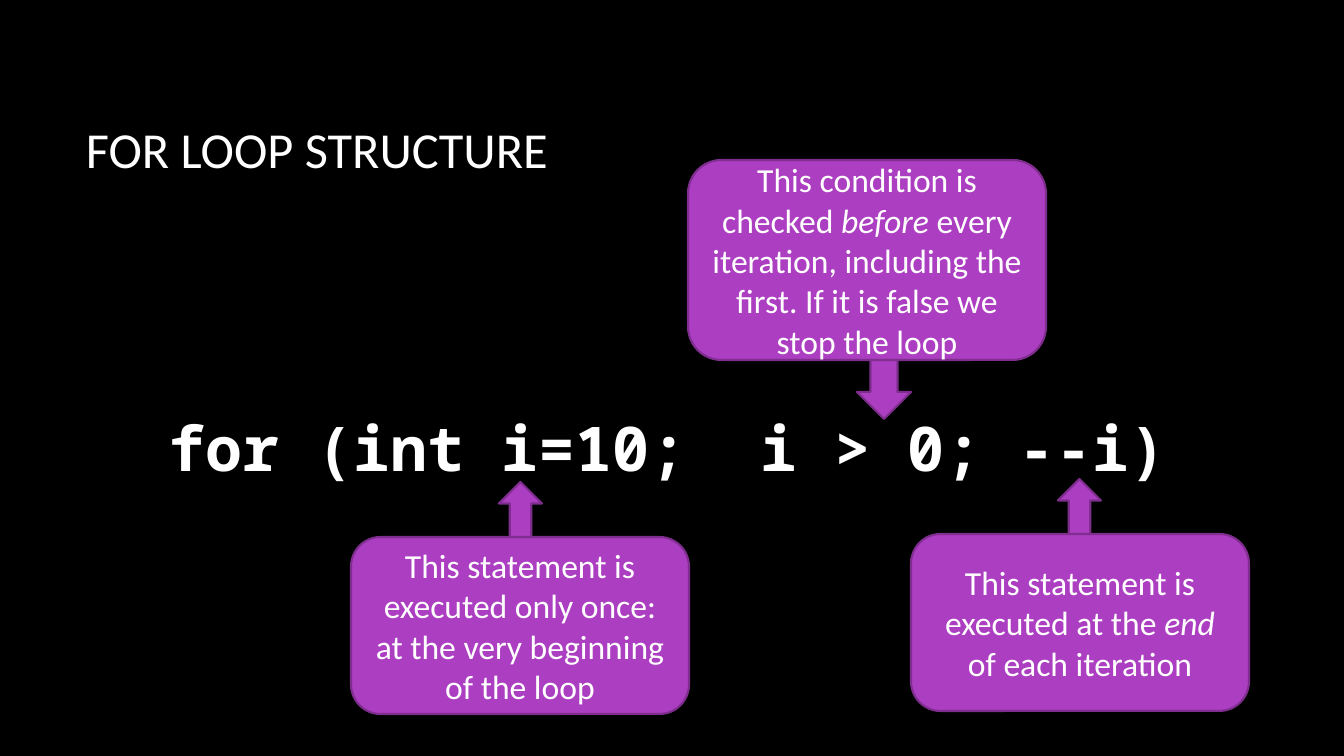
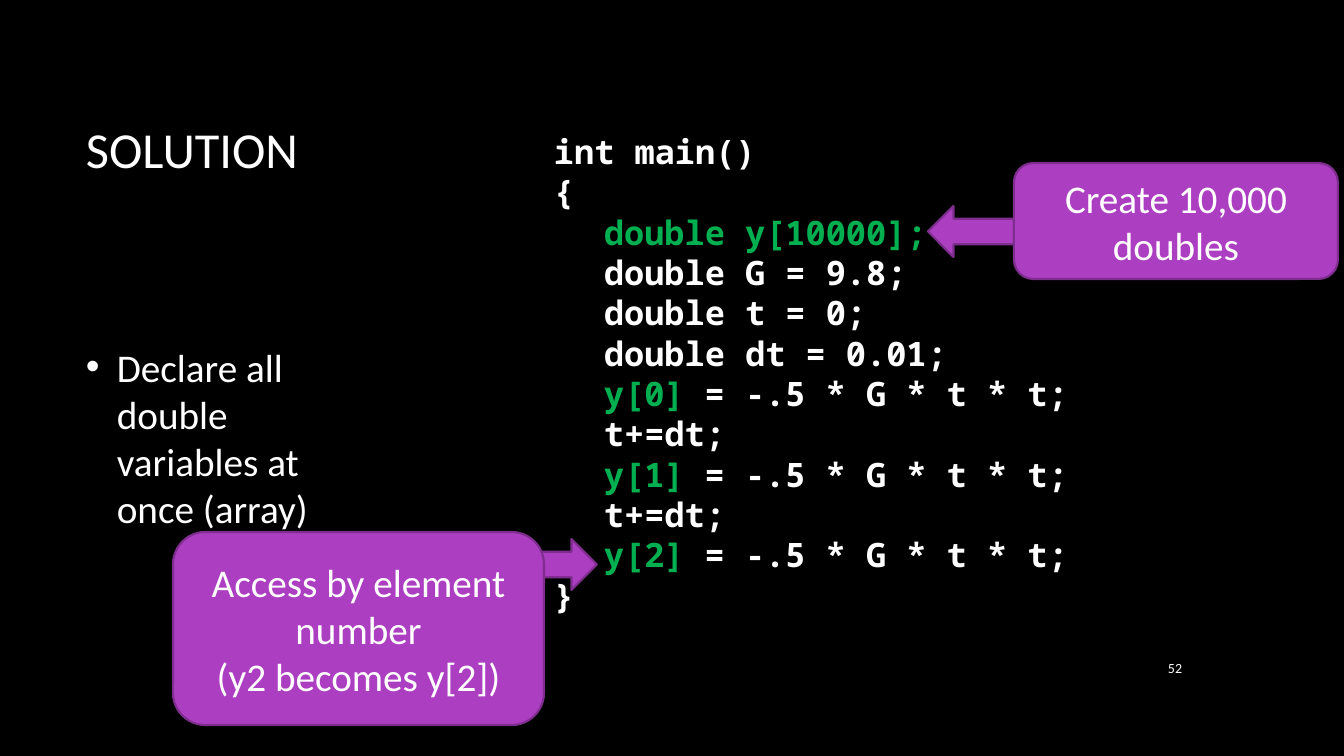
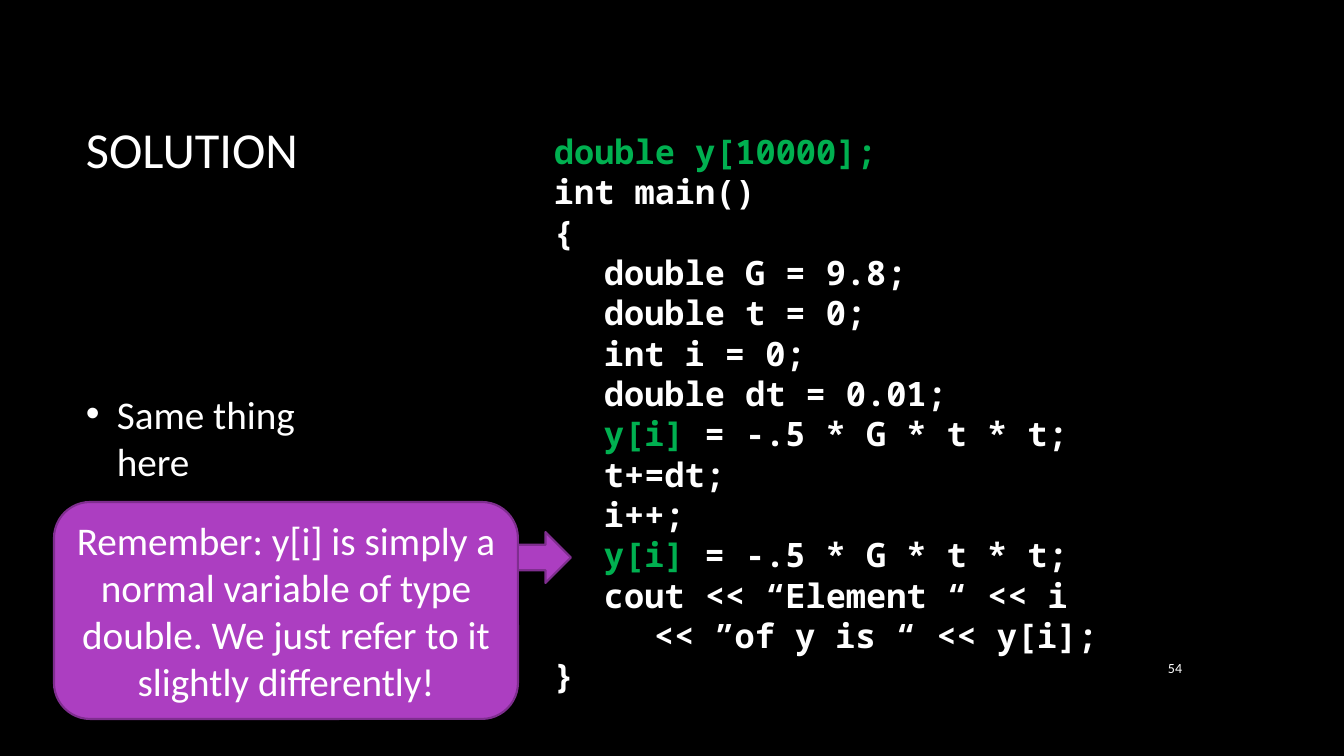
from pptx import Presentation
from pptx.dml.color import RGBColor
from pptx.enum.shapes import MSO_SHAPE as Preset
from pptx.enum.text import MSO_ANCHOR as Anchor, MSO_AUTO_SIZE as AutoSize, PP_ALIGN as Align
from pptx.util import Pt
from lxml import etree

BLACK = RGBColor(0x00, 0x00, 0x00)
WHITE = RGBColor(0xFF, 0xFF, 0xFF)
GREEN = RGBColor(0x00, 0xB0, 0x50)
PURPLE = RGBColor(0xAC, 0x3E, 0xC1)
DARK_PURPLE = RGBColor(0x7F, 0x2E, 0x8F)
BODY_FONT = "Calibri"
CODE_FONT = "Noto Sans Mono"

WIDTH, HEIGHT = 1344, 756
SCALE = 12192000 / WIDTH
TITLE_BOX = (76, 68, 1117, 160)
BODY_BOX = (76, 236, 297, 402)
NUMBER_BOX = (1132, 647, 60, 41)
TAB_STEP = 50
BULLET_INDENT = 31

# Text between ~ marks is emphasised: italic in callouts, green in code.
# Each tab that starts a line is one step of indent.
SLIDES = [
    {
        "title": "FOR LOOP STRUCTURE",
        "code": ["for (int i=10;  i > 0; --i)"],
        "code_box": (159, 405, 1058, 85),
        "code_size": 44,
        "code_wrap": True,
        "callout_size": 24,
        "callouts": [
            (["This statement is executed only once: at the very beginning of the loop"],
             (351, 537, 338, 177), Preset.UP_ARROW, (499, 482, 43, 132)),
            (["This condition is checked ~before~ every iteration, including the first. "
              "If it is false we stop the loop"],
             (688, 160, 358, 200), Preset.DOWN_ARROW, (857, 299, 54, 120)),
            (["This statement is executed at the ~end~ of each iteration"],
             (911, 534, 338, 177), Preset.UP_ARROW, (1058, 479, 43, 132)),
        ],
    },
    {
        "title": "SOLUTION",
        "body": "Declare all double variables at once (array)",
        "number": "52",
        "code": [
            "int main()",
            "{",
            "\t~double y[10000];~",
            "\tdouble G = 9.8;",
            "\tdouble t = 0;",
            "\tdouble dt = 0.01;",
            "\t~y[0] ~= -.5 * G * t * t;",
            "\tt+=dt;",
            "\t~y[1] ~= -.5 * G * t * t;",
            "\tt+=dt;",
            "\t~y[2] ~= -.5 * G * t * t;",
            "}",
        ],
        "code_box": (544, 126, 538, 499),
        "callouts": [
            (["Create 10,000 doubles"],
             (1014, 163, 324, 116), Preset.LEFT_ARROW, (928, 206, 86, 51)),
            (["Access by element number", "(y2 becomes y[2])"],
             (173, 532, 371, 193), Preset.RIGHT_ARROW, (511, 539, 86, 51)),
        ],
    },
    {
        "title": "SOLUTION",
        "body": "Same thing here",
        "number": "54",
        "code": [
            "~double y[10000];~",
            "int main()",
            "{",
            "\tdouble G = 9.8;",
            "\tdouble t = 0;",
            "\tint i = 0;",
            "\tdouble dt = 0.01;",
            "\t~y[i] ~= -.5 * G * t * t;",
            "\tt+=dt;",
            "\ti++;",
            "\t~y[i] ~= -.5 * G * t * t;",
            "\tcout << “Element “ << i",
            "\t\t<< ”of y is “ << y[i];",
            "}",
        ],
        "code_box": (544, 126, 570, 581),
        "callouts": [
            (["Remember: y[i] is simply a normal variable of type double. "
              "We just refer to it slightly differently!"],
             (54, 502, 464, 217), Preset.RIGHT_ARROW, (485, 532, 86, 51)),
        ],
    },
]


def emu(box):
    """Turn pixel lengths into EMU."""
    return [round(length * SCALE) for length in box]


def indent(paragraph, left, first=0):
    """Set the left margin and first-line indent, in pixels."""
    properties = paragraph._p.get_or_add_pPr()
    for name, length in zip(("marL", "indent"), emu((left, first))):
        properties.set(name, str(length))
    return properties


def add_bullet(paragraph):
    """Give the paragraph a round bullet, a hanging indent and space after."""
    paragraph.space_after = Pt(10)
    properties = indent(paragraph, BULLET_INDENT, -BULLET_INDENT)
    namespace = properties.nsmap["a"]
    font = etree.SubElement(properties, f"{{{namespace}}}buFont")
    font.set("typeface", "Arial")
    character = etree.SubElement(properties, f"{{{namespace}}}buChar")
    character.set("char", "•")


def write(shape, lines, size, font=BODY_FONT, bold=False, italic_marks=False,
          align=Align.LEFT, anchor=Anchor.MIDDLE, wrap=True, bullet=False):
    """Write the lines into a shape, emphasising what is between ~ marks."""
    frame = shape.text_frame
    frame.word_wrap = wrap
    frame.vertical_anchor = anchor
    for index, line in enumerate(lines):
        paragraph = frame.add_paragraph() if index else frame.paragraphs[0]
        paragraph.alignment = align
        text = line.lstrip("\t")
        if bullet:
            add_bullet(paragraph)
        elif text != line:
            indent(paragraph, TAB_STEP * (len(line) - len(text)))
        for position, piece in enumerate(text.split("~")):
            if not piece:
                continue
            marked = position % 2 == 1
            run = paragraph.add_run()
            run.text = piece
            run.font.name = font
            run.font.size = Pt(size)
            run.font.bold = bold
            run.font.italic = marked and italic_marks
            run.font.color.rgb = GREEN if marked and not italic_marks else WHITE


def add_text(slide, box, lines, size, **style):
    """Add a text box and return it."""
    shape = slide.shapes.add_textbox(*emu(box))
    write(shape, lines, size, **style)
    return shape


def add_purple(slide, preset, box):
    """Add a purple preset shape with a darker outline."""
    shape = slide.shapes.add_shape(preset, *emu(box))
    shape.shadow.inherit = False
    shape.fill.solid()
    shape.fill.fore_color.rgb = PURPLE
    shape.line.color.rgb = DARK_PURPLE
    shape.line.width = Pt(1.5)
    return shape


def add_callout(slide, lines, box, arrow, arrow_box, size):
    """Add a rounded box with an arrow that comes out from behind it."""
    add_purple(slide, arrow, arrow_box)
    bubble = add_purple(slide, Preset.ROUNDED_RECTANGLE, box)
    write(bubble, lines, size, align=Align.CENTER, italic_marks=True)


def build_slide(presentation, content):
    """Build one slide from its content."""
    slide = presentation.slides.add_slide(presentation.slide_layouts[6])
    add_text(slide, TITLE_BOX, [content["title"]], 36)
    if "body" in content:
        add_text(slide, BODY_BOX, [content["body"]], 28, bullet=True)
    code = add_text(slide, content["code_box"], content["code"],
                    content.get("code_size", 24), font=CODE_FONT, bold=True,
                    anchor=Anchor.TOP, wrap=content.get("code_wrap", False))
    code.text_frame.auto_size = AutoSize.SHAPE_TO_FIT_TEXT
    if "number" in content:
        add_text(slide, NUMBER_BOX, [content["number"]], 10, align=Align.RIGHT)
    for callout in content["callouts"]:
        add_callout(slide, *callout, size=content.get("callout_size", 28))


def main():
    """Build the presentation and save it."""
    presentation = Presentation()
    presentation.slide_width, presentation.slide_height = emu((WIDTH, HEIGHT))
    background = presentation.slide_master.background.fill
    background.solid()
    background.fore_color.rgb = BLACK
    for content in SLIDES:
        build_slide(presentation, content)
    presentation.save("out.pptx")


main()
